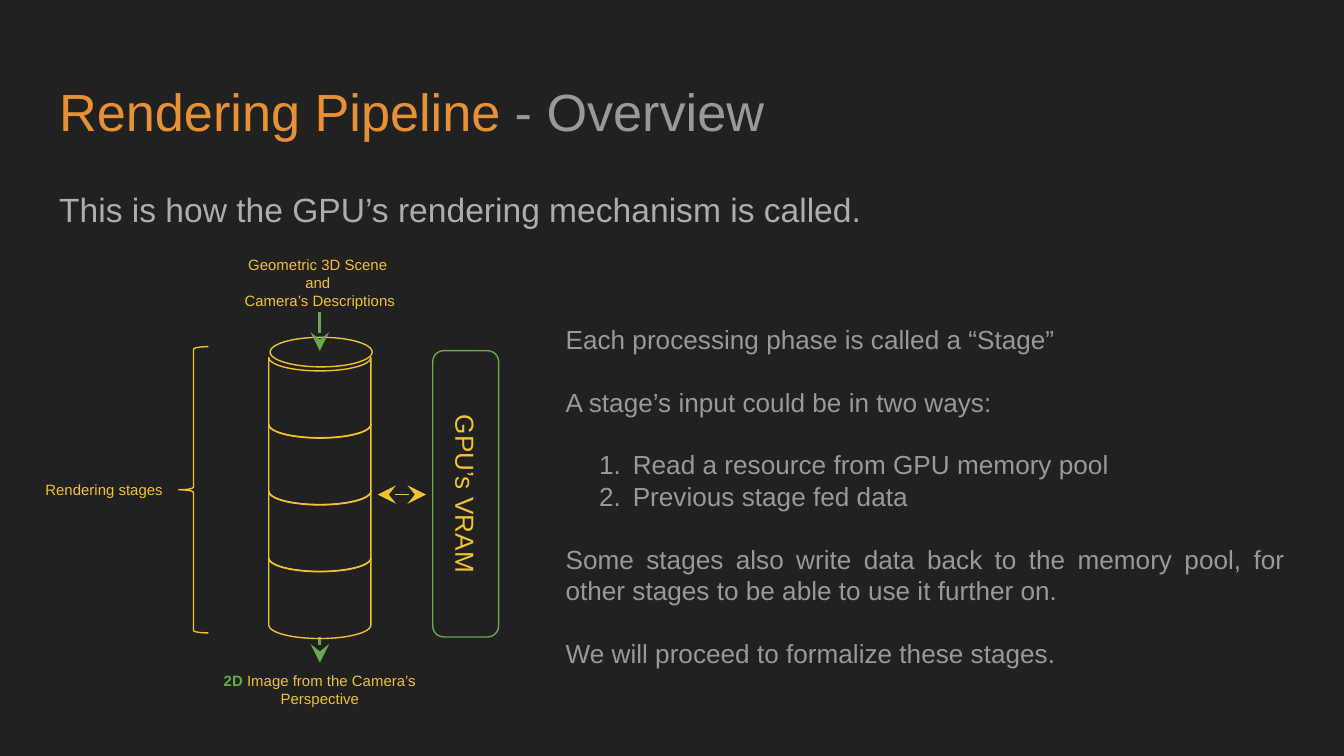
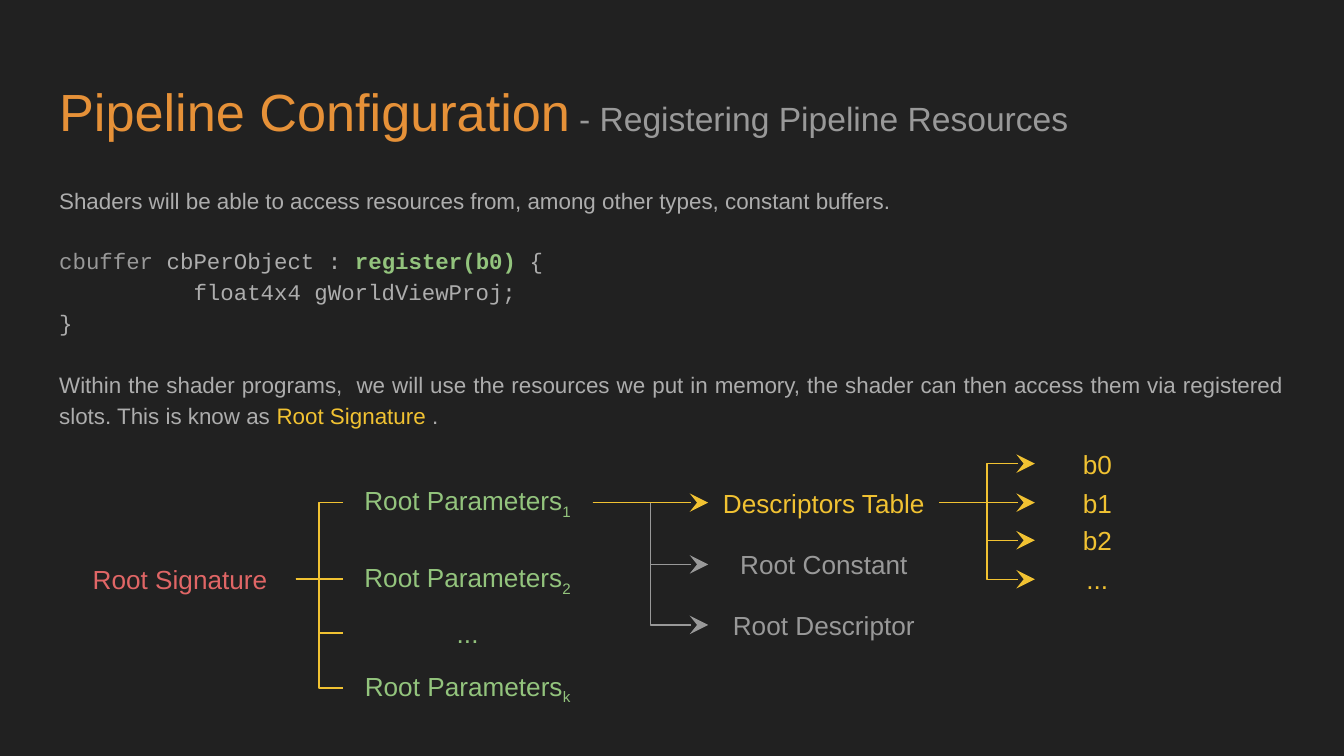
"""Build two slides about the rendering pipeline and its configuration."""
from lxml import etree
from pptx import Presentation
from pptx.dml.color import RGBColor
from pptx.enum.shapes import MSO_CONNECTOR, MSO_SHAPE
from pptx.enum.text import MSO_ANCHOR, MSO_AUTO_SIZE, PP_ALIGN
from pptx.oxml.ns import qn
from pptx.util import Inches, Pt

LEFT, CENTER, JUSTIFY = PP_ALIGN.LEFT, PP_ALIGN.CENTER, PP_ALIGN.JUSTIFY
TOP, MIDDLE = MSO_ANCHOR.TOP, MSO_ANCHOR.MIDDLE
NO_AUTOFIT = MSO_AUTO_SIZE.NONE
STRAIGHT, ELBOW = MSO_CONNECTOR.STRAIGHT, MSO_CONNECTOR.ELBOW
STAGE, ELLIPSE = MSO_SHAPE.FLOWCHART_STORED_DATA, MSO_SHAPE.OVAL
ROUNDED, BRACE = MSO_SHAPE.ROUNDED_RECTANGLE, MSO_SHAPE.LEFT_BRACE

COLORS = {
    "background": "212121",
    "accent": "E69138",
    "body": "ADADAD",
    "muted": "999999",
    "yellow": "F1C232",
    "green": "6AA84F",
    "light_green": "93C47D",
    "red": "E06666",
}
CODE = "Courier New"


def rgb(color):
    """Return the named colour."""
    return RGBColor.from_string(COLORS[color])


def write(paragraph, text, size=14, color="muted", font="Arial", bold=False, baseline=None):
    """Add a formatted run to a paragraph."""
    run = paragraph.add_run()
    run.text = text
    run.font.size = Pt(size)
    run.font.name = font
    run.font.bold = bold
    run.font.color.rgb = rgb(color)
    if baseline:
        run.font._element.set("baseline", str(baseline * 1000))


class Deck:
    """Holds the shared style and the current slide."""

    def __init__(self):
        """Start a widescreen presentation with a dark master."""
        self.presentation = Presentation()
        self.presentation.slide_width = Inches(10)
        self.presentation.slide_height = Inches(10) * 9 // 16
        background = self.presentation.slide_master.background.fill
        background.solid()
        background.fore_color.rgb = rgb("background")
        self.slide = None

    def new_slide(self, title, body, body_height, body_size):
        """Add a slide with a title and body text."""
        layout = self.presentation.slide_layouts[1]
        self.slide = self.presentation.slides.add_slide(layout)
        heading, content = self.slide.placeholders
        self.place(heading, 0.49, 0.63)
        self.fill(heading.text_frame, [{"runs": title}], anchor=TOP, align=LEFT, size=28)
        self.place(content, 1.26, body_height)
        self.fill(content.text_frame, body, anchor=TOP, align=LEFT, spacing=1.15,
                  color="body", size=body_size)

    def place(self, placeholder, top, height):
        """Move a placeholder to the shared text column."""
        placeholder.left, placeholder.top = Inches(0.34), Inches(top)
        placeholder.width, placeholder.height = Inches(9.32), Inches(height)

    def fill(self, frame, paragraphs, anchor=MIDDLE, align=CENTER, spacing=1.0, **style):
        """Fill a text frame with paragraphs of formatted runs."""
        frame.word_wrap = True
        frame.auto_size = NO_AUTOFIT
        frame.vertical_anchor = anchor
        frame.margin_left = frame.margin_right = Inches(0.1)
        frame.margin_top = frame.margin_bottom = Inches(0.1)
        for index, content in enumerate(paragraphs):
            paragraph = frame.add_paragraph() if index else frame.paragraphs[0]
            paragraph.alignment = content.get("align", align)
            paragraph.line_spacing = spacing
            paragraph.space_before = Pt(0)
            paragraph.space_after = Pt(content.get("after", 0))
            self.mark(paragraph, content.get("numbered", False), content.get("indent", 0))
            for text, changes in content["runs"]:
                write(paragraph, text, **{**style, **changes})

    def mark(self, paragraph, numbered, indent):
        """Set the indent and the number of a paragraph."""
        properties = paragraph._p.get_or_add_pPr()
        properties.set("marL", str(Inches(0.5 if numbered else 0)))
        properties.set("indent", str(Inches(-0.25 if numbered else indent)))
        if numbered:
            tint = etree.SubElement(properties, qn("a:buClr"))
            etree.SubElement(tint, qn("a:srgbClr"), val=COLORS["muted"])
            etree.SubElement(properties, qn("a:buAutoNum"), type="arabicPeriod")
        else:
            etree.SubElement(properties, qn("a:buNone"))

    def text(self, box, paragraphs, **style):
        """Add a text box."""
        frame = self.slide.shapes.add_textbox(*map(Inches, box)).text_frame
        self.fill(frame, paragraphs, **style)

    def label(self, left, middle, width, runs, color):
        """Add a one-line label centred on a height."""
        self.text((left, middle - 0.21, width, 0.42), [{"runs": runs}], color=color)

    def outline(self, kind, box, color="yellow", rotation=0):
        """Add an unfilled preset shape."""
        shape = self.slide.shapes.add_shape(kind, *map(Inches, box))
        shape.shadow.inherit = False
        shape.fill.background()
        shape.line.color.rgb = rgb(color)
        shape.line.width = Pt(0.75)
        shape.rotation = rotation
        return shape

    def line(self, start, end, color="yellow", kind=STRAIGHT, width=0.75, arrows=()):
        """Add a connector with arrowheads at the listed ends."""
        connector = self.slide.shapes.add_connector(kind, *map(Inches, (*start, *end)))
        connector.line.color.rgb = rgb(color)
        connector.line.width = Pt(width)
        properties = connector._element.spPr
        stroke = properties.find(qn("a:ln"))
        for arrow in arrows:
            etree.SubElement(stroke, qn(f"a:{arrow}"), type="stealth", w="lg", len="lg")
        etree.SubElement(properties, qn("a:effectLst"))

    def branch(self, start, right, middles, color="yellow", arrows=()):
        """Join one point to several heights with elbows."""
        for middle in middles:
            self.line(start, (right, middle), color, ELBOW, arrows=arrows)


def overview_slide(deck):
    """Build the overview of the rendering pipeline."""
    deck.new_slide(
        [("Rendering Pipeline", {"color": "accent"}), (" - Overview", {})],
        [{"runs": [("This is how the GPU’s rendering mechanism is called.", {})],
          "after": 16}],
        0.52, 18,
    )
    axis = 2.38
    deck.line((axis, 4.74), (axis, 4.93), "green", width=1.5, arrows=["tailEnd"])
    scene_lines = ["Geometric 3D Scene ", "and ", "Camera’s Descriptions"]
    deck.text((1.42, 1.82, 1.92, 0.56), [{"runs": [(words, {})]} for words in scene_lines],
              size=8, color="yellow")
    for index in range(4):
        deck.outline(STAGE, (2.08, 2.58 + 0.497 * index, 0.6, 0.76), rotation=270)
    deck.outline(ELLIPSE, (2.01, 2.51, 0.76, 0.22))
    deck.line((axis, 2.32), (axis, 2.61), "green", width=1.5, arrows=["tailEnd"])
    result = [("2D", {"color": "green", "bold": True}),
              (" Image from the Camera’s Perspective", {})]
    deck.text((1.42, 4.85, 1.92, 0.56), [{"runs": result}], size=8, color="yellow")

    memory = deck.outline(ROUNDED, (2.4, 3.43, 2.13, 0.49), "green", rotation=90)
    deck.fill(memory.text_frame, [{"runs": [("GPU’s VRAM", {})]}], color="yellow")
    deck.line((2.81, 3.68), (3.17, 3.68), arrows=["headEnd", "tailEnd"])
    deck.outline(BRACE, (1.33, 2.58, 0.22, 2.13))
    deck.text((0.18, 3.49, 1.19, 0.3), [{"runs": [("Rendering stages", {})]}],
              size=8, color="yellow")

    gap = 16.8
    explanation = [
        ("Each processing phase is called a “Stage”", gap, False),
        ("A stage’s input could be in two ways:", gap, False),
        ("Read a resource from GPU memory pool", 0, True),
        ("Previous stage fed data", gap, True),
        ("Some stages also write data back to the memory pool, for other stages "
         "to be able to use it further on.", gap, False),
        ("We will proceed to formalize these stages.", 0, False),
    ]
    deck.text(
        (4.11, 2.23, 5.55, 2.92),
        [{"runs": [(words, {})], "after": after, "numbered": numbered}
         for words, after, numbered in explanation],
        align=JUSTIFY,
    )


def configuration_slide(deck):
    """Build the slide on registering pipeline resources."""
    code = {"font": CODE}
    deck.new_slide(
        [("Pipeline Configuration", {"color": "accent"}),
         (" ", {"size": 18, "color": "accent"}),
         ("- Registering Pipeline Resources", {"size": 18})],
        [
            {"runs": [("Shaders will be able to access resources from, among other types, "
                       "constant buffers.", {})], "after": 16},
            {"runs": [("cbuffer ", {**code, "color": "muted"}),
                      ("cbPerObject : ", code),
                      ("register(b0)", {**code, "color": "light_green", "bold": True}),
                      (" {", code)]},
            {"runs": [("\tfloat4x4 gWorldViewProj;", code)], "indent": 0.5},
            {"runs": [("}", code)], "after": 16.5},
            {"runs": [("Within the shader programs,  we will use the resources we put in "
                       "memory, the shader can then access them via registered slots. "
                       "This is know as ", {}),
                      ("Root Signature", {"color": "yellow"}),
                      (" .", {})], "align": JUSTIFY, "after": 16},
        ],
        2.05, 12,
    )
    first_row, signature_row = 3.74, 4.31
    parameters = {"1": first_row, "2": signature_row, "...": 4.71, "k": 5.12}
    kinds = {"Descriptors Table": first_row, "Root Constant": 4.2, "Root Descriptor": 4.65}
    slots = {"b0": 3.45, "b1": first_row, "b2": 4.02, "...": signature_row}

    deck.label(0.48, signature_row, 1.72, [("Root Signature", {})], "red")
    deck.branch((2.2, signature_row), 2.55, parameters.values())
    for suffix, middle in parameters.items():
        runs = [("Root Parameters", {}), (suffix, {"baseline": -25})]
        if suffix == "...":
            runs = [(suffix, {})]
        deck.label(2.55, middle, 1.86, runs, "light_green")

    table_row, *other_rows = kinds.values()
    deck.branch((4.41, first_row), 5.27, other_rows, "muted", ["tailEnd"])
    deck.branch((4.41, first_row), 5.27, [table_row], arrows=["tailEnd"])
    for kind, middle in kinds.items():
        color = "yellow" if middle == table_row else "muted"
        deck.label(5.27, middle, 1.72, [(kind, {})], color)

    deck.branch((6.99, table_row), 7.7, slots.values(), arrows=["tailEnd"])
    for slot, middle in slots.items():
        deck.label(7.7, middle, 0.93, [(slot, {})], "yellow")


def main():
    """Build and save the deck."""
    deck = Deck()
    overview_slide(deck)
    configuration_slide(deck)
    deck.presentation.save("out.pptx")


main()
